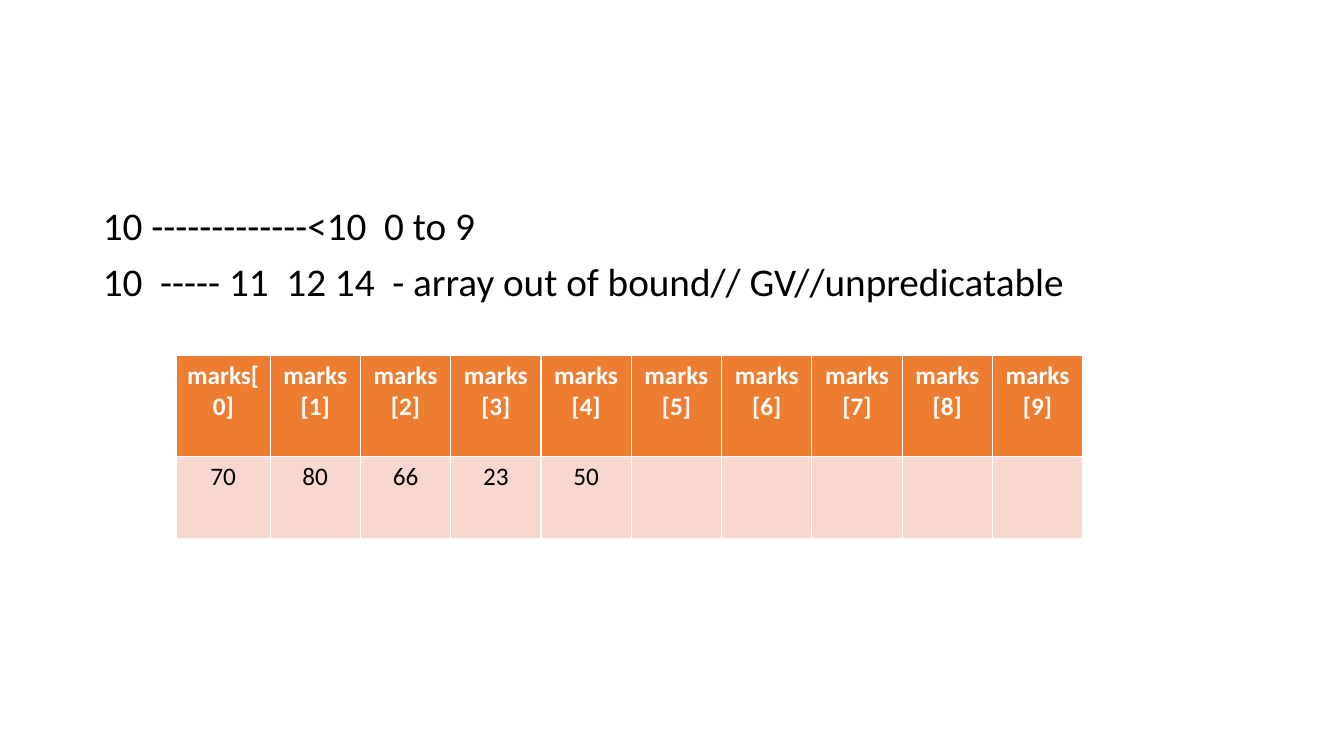
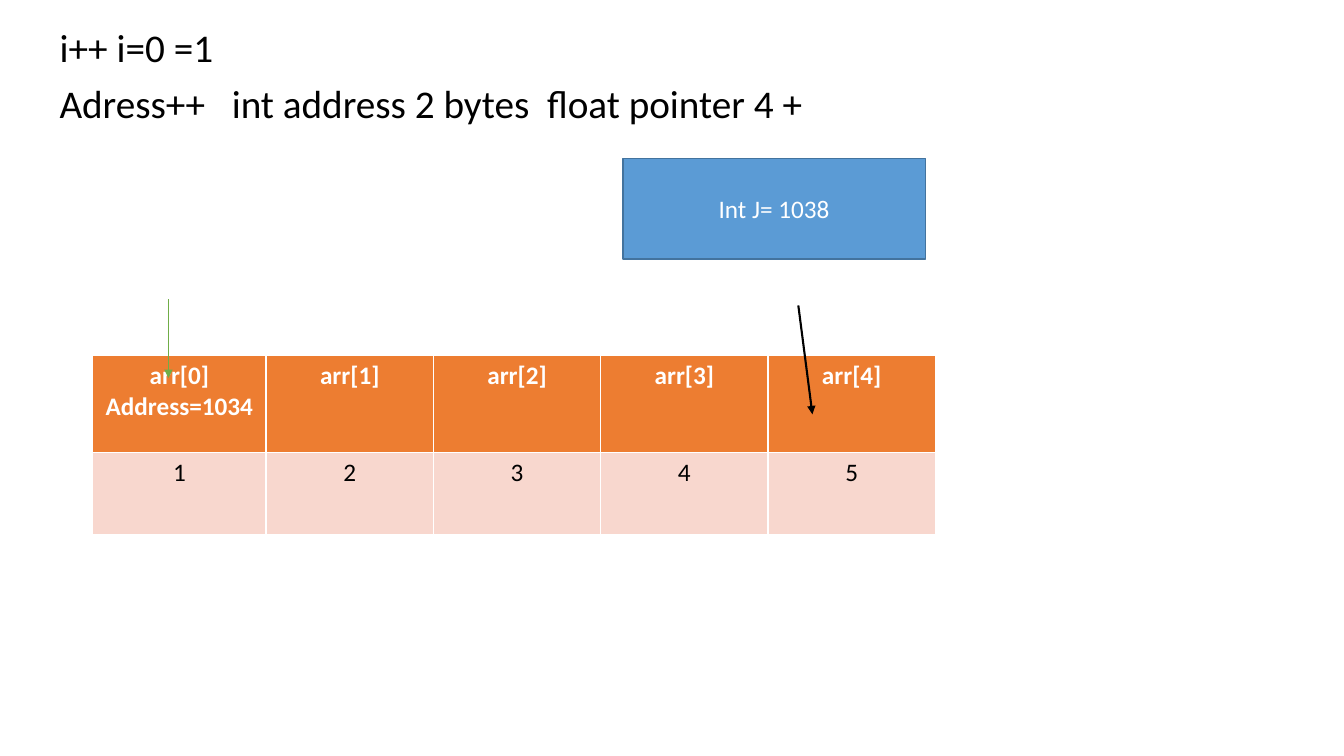
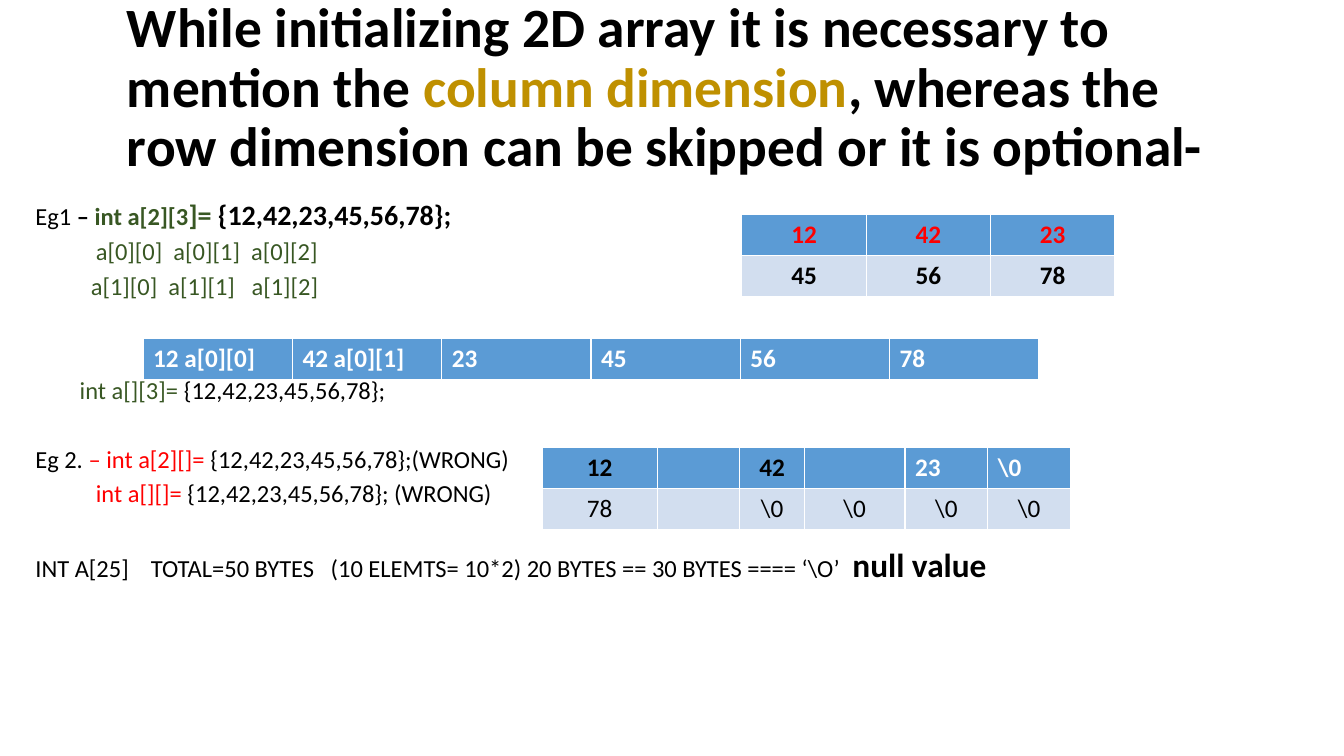
from lxml import etree
from pptx import Presentation
from pptx.dml.color import RGBColor
from pptx.enum.shapes import MSO_CONNECTOR, MSO_SHAPE
from pptx.enum.text import MSO_ANCHOR, MSO_AUTO_SIZE, PP_ALIGN
from pptx.oxml.ns import qn
from pptx.util import Inches, Pt

LEFT, MID = PP_ALIGN.LEFT, PP_ALIGN.CENTER
CENTRE = MSO_ANCHOR.MIDDLE
FIXED = MSO_AUTO_SIZE.NONE
RECT, LINE = MSO_SHAPE.RECTANGLE, MSO_CONNECTOR.STRAIGHT

FONT = "Calibri"
BLACK = RGBColor(0x00, 0x00, 0x00)
WHITE = RGBColor(0xFF, 0xFF, 0xFF)
ORANGE = RGBColor(0xED, 0x7D, 0x31)
PEACH = RGBColor(0xF8, 0xD7, 0xCE)
BLUE = RGBColor(0x5B, 0x9B, 0xD5)
PALE = RGBColor(0xD2, 0xDE, 0xEF)
STEEL = RGBColor(0x43, 0x73, 0x9E)
LEAF = RGBColor(0x70, 0xAD, 0x47)
MOSS = RGBColor(0x38, 0x57, 0x23)
GOLD = RGBColor(0xBF, 0x90, 0x00)
RED = RGBColor(0xFF, 0x00, 0x00)

deck = Presentation()
deck.slide_width, deck.slide_height = Inches(13.333), Inches(7.5)


def span(*shares):
    """Turn percent shares of width and height, by turns, into lengths."""
    sides = (deck.slide_width, deck.slide_height)
    return [int(sides[i % 2] * share / 100) for i, share in enumerate(shares)]


def write(frame, *runs, size=18, color=BLACK, bold=False, align=LEFT,
          lead=1.0, before=0, indent=0):
    """Add one paragraph; a run is text, or text with its own format."""
    para = frame.paragraphs[0]
    if para.runs:
        para = frame.add_paragraph()
    para.alignment, para.line_spacing = align, lead
    para.space_before = Pt(before)
    props = para._p.get_or_add_pPr()
    props.set("marL", str(Inches(indent)))
    props.set("indent", "0")
    etree.SubElement(props, qn("a:buNone"))
    for item in runs:
        text, own = (item, {}) if isinstance(item, str) else item
        run = para.add_run()
        run.text = text
        run.font.name = FONT
        run.font.size = Pt(own.get("size", size))
        run.font.bold = own.get("bold", bold)
        run.font.color.rgb = own.get("color", color)


# Body lists: place, shared format, then lines of runs with their own format
green, red = {"color": MOSS}, {"color": RED}
strong = {"bold": True}
values = "{12,42,23,45,56,78};"
large = {"size": 28, "lead": 0.9, "before": 10}
small = {"size": 17.5, "lead": 0.7, "before": 10}
lists = [
    ((6.9, 26.67, 86.25, 63.47), large, [
        (["10 -------------<10  0 to 9"], {}),
        (["10  ----- 11  12 14  - array out of bound// GV//unpredicatable"], {}),
    ]),
    ((3.68, 3.07, 89.4, 86.93), large, [
        (["i++ i=0 =1"], {}),
        (["Adress++   int address 2 bytes  float pointer 4 +"], {}),
    ]),
    ((1.88, 26.67, 95.78, 63.47), small, [
        (["Eg1 ", ("– ", strong), ("int a[2][3", green | strong),
          ("]= ", green | strong | {"size": 20}),
          (values, strong | {"size": 20})], {}),
        (["a[0][0]  a[0][1]  a[0][2]"], green | {"indent": 0.6}),
        (["a[1][0]  a[1][1]   a[1][2]"], green | {"indent": 0.55}),
        ([("int a[][3]= ", green), values], {"indent": 0.44, "before": 59.5}),
        (["Eg 2. ", ("– int a[2][]= ", red), values + "(WRONG)"],
         {"before": 34.7}),
        ([("int a[][]= ", red), values + " (WRONG)"], {"indent": 0.6}),
        (["INT A[25]    TOTAL=50 BYTES   (10 ELEMTS= 10*2) 20 BYTES == "
          "30 BYTES ==== ‘\\O’  ", ("null value", strong | {"size": 23.8})],
         {"before": 34.7}),
    ]),
]
slides = []
for place, shared, lines in lists:
    slide = deck.slides.add_slide(deck.slide_layouts[1])
    slides.append(slide)
    body = slide.placeholders[1]
    body.left, body.top, body.width, body.height = span(*place)
    body.text_frame.auto_size = FIXED
    for runs, own in lines:
        write(body.text_frame, *runs, **(shared | own))
marks, steps, grids = slides

# Only the last slide has a title
for slide in (marks, steps):
    head = slide.shapes.title._element
    head.getparent().remove(head)
title = grids.shapes.title
title.left, title.top, title.width, title.height = span(8.7, 6.93, 84.45, 17.73)
frame = title.text_frame
frame.auto_size, frame.vertical_anchor = FIXED, CENTRE
frame.margin_bottom = Inches(0.65)
write(frame, "While initializing 2D array it is necessary to mention the ",
      ("column dimension", {"color": GOLD}),
      ", whereas the row dimension can be skipped or it is optional-",
      size=39.6, bold=True, lead=0.9)

# Tables: slide, corner, column shares, row shares, fills, formats, cells
bright = {"color": WHITE, "bold": True, "align": MID}
plain = {"align": MID}
heavy = plain | strong
side = bright | {"align": LEFT}
warm, cool = (ORANGE, PEACH), (BLUE, PALE)
tables = [
    (marks, (13.12, 47.07), [6.98] + [6.72] * 9, [13.33, 10.8], warm,
     ([bright] * 10, [plain] * 10),
     ([f"marks[{i}]" for i in range(10)],
      ["70", "80", "66", "23", "50"] + [""] * 5)),
    (steps, (6.9, 47.07), [12.9] + [12.45] * 4, [12.8, 10.8], warm,
     ([bright] * 5, [plain] * 5),
     (["arr[0]\nAddress=1034"] + [f"arr[{i}]" for i in range(1, 5)],
      list("12345"))),
    (grids, (55.2, 28.4), [9.25] * 3, [5.42] * 2, cool,
     ([heavy | red] * 3, [heavy] * 3),
     (["12", "42", "23"], ["45", "56", "78"])),
    (grids, (40.35, 59.2), [8.55, 6.15, 4.8, 7.5, 6.15, 6.15], [5.42] * 2, cool,
     ([heavy] * 4 + [side] * 2, [plain] * 6),
     (["12", "", "42", "", "23", "\\0"], ["78", ""] + ["\\0"] * 4)),
    (grids, (10.65, 44.8), [11.11] * 6, [5.42], cool,
     ([side] * 6,),
     (["12 a[0][0]", "42 a[0][1]", "23", "45", "56", "78"],)),
]
for slide, corner, cols, rows, fills, styles, cells in tables:
    size = span(sum(cols), sum(rows))
    table = slide.shapes.add_table(len(rows), len(cols),
                                   *span(*corner), *size).table
    for col, share in zip(table.columns, cols):
        col.width = span(share)[0]
    for r, share in enumerate(rows):
        table.rows[r].height = span(0, share)[1]
        for c, text in enumerate(cells[r]):
            cell = table.cell(r, c)
            cell.fill.solid()
            cell.fill.fore_color.rgb = fills[r]
            for line in text.splitlines():
                write(cell.text_frame, line, **styles[r][c])

# The pointer box and the arrows into the array
box = steps.shapes.add_shape(RECT, *span(46.35, 20.93, 22.5, 13.33))
box.shadow.inherit = False
box.fill.solid()
box.fill.fore_color.rgb = BLUE
box.line.color.rgb = STEEL
box.line.width = Pt(1)
box.text_frame.vertical_anchor = CENTRE
write(box.text_frame, "Int J= 1038", color=WHITE, align=MID)

for ends, color, width in [((12.53, 39.6, 12.53, 50), LEAF, 1),
                           ((59.4, 40.4, 60.45, 54.8), BLACK, 1.5)]:
    arrow = steps.shapes.add_connector(LINE, *span(*ends))
    arrow.line.color.rgb = color
    arrow.line.width = Pt(width)
    etree.SubElement(arrow.line._get_or_add_ln(), qn("a:tailEnd"), type="triangle")
    etree.SubElement(arrow._element.spPr, qn("a:effectLst"))

deck.save("out.pptx")
